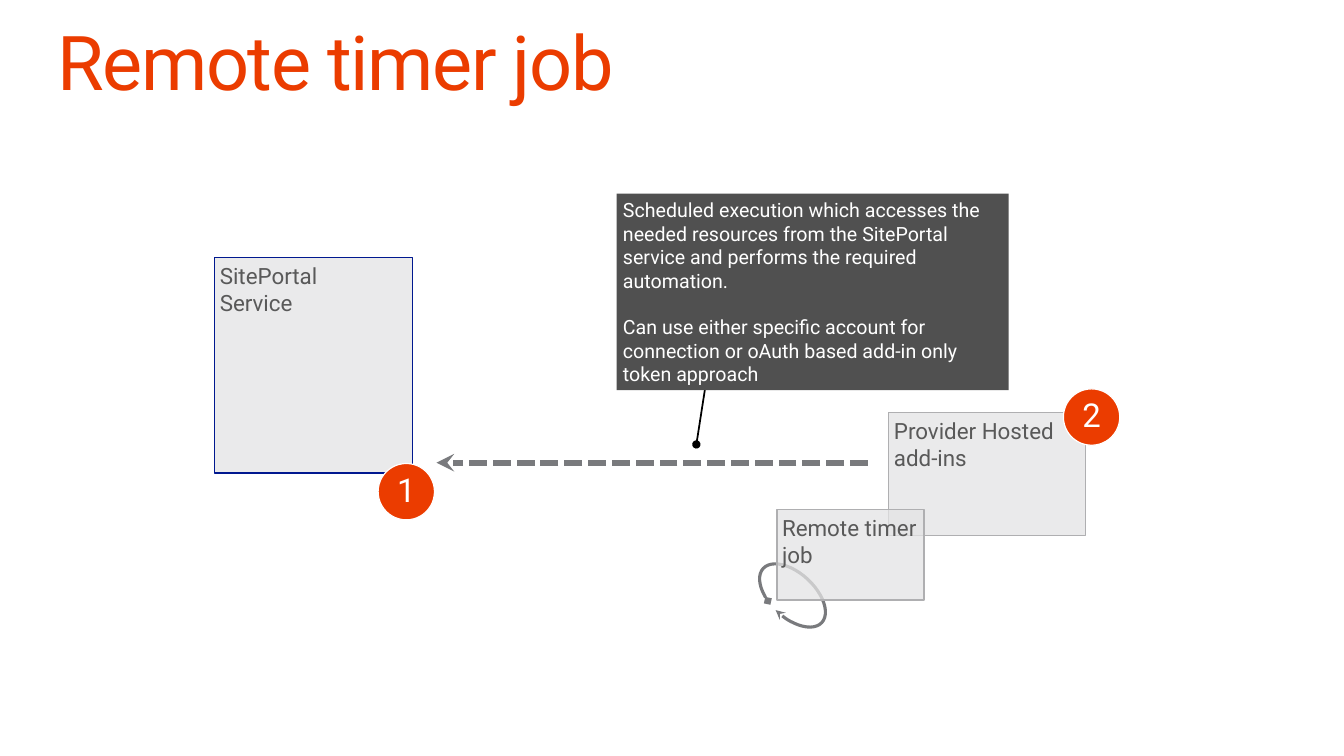
from pptx import Presentation
from pptx.dml.color import RGBColor
from pptx.enum.dml import MSO_LINE
from pptx.enum.shapes import MSO_CONNECTOR, MSO_SHAPE
from pptx.enum.text import MSO_ANCHOR, PP_ALIGN
from pptx.oxml.ns import qn
from pptx.util import Cm, Pt
from lxml.etree import SubElement

FONT = "Roboto"
ORANGE, WHITE, BLACK = "EB3C00", "FFFFFF", "000000"
PANEL, EDGE, NAVY = "E4E4E5", "AFAFB1", "00188F"
TEXT, DARK, GREY = "595959", "505050", "797A7D"


def color(value):
    return RGBColor.from_string(value)


def add_ends(shape, **ends):
    """Add line ends, given as headEnd and tailEnd types."""
    line = shape._element.spPr.find(qn("a:ln"))
    for tag, kind in ends.items():
        SubElement(line, qn(f"a:{tag}"), type=kind)


def set_line(shape, value, width):
    shape.line.color.rgb = color(value)
    shape.line.width = Pt(width)


def set_text(shape, text, size, value, insets=(0, 0, 0, 0),
             align=PP_ALIGN.LEFT, anchor=MSO_ANCHOR.TOP, spacing=1.0):
    frame = shape.text_frame
    frame.text = text
    frame.word_wrap = True
    frame.vertical_anchor = anchor
    (frame.margin_left, frame.margin_top,
     frame.margin_right, frame.margin_bottom) = map(Cm, insets)
    for para in frame.paragraphs:
        para.alignment = align
        para.line_spacing = spacing
        for run in para.runs:
            run.font.name = FONT
            run.font.size = Pt(size)
            run.font.color.rgb = color(value)


def add_form(slide, kind, box, fill=None):
    shape = slide.shapes.add_shape(kind, *map(Cm, box))
    shape.shadow.inherit = False
    if fill:
        shape.fill.solid()
        shape.fill.fore_color.rgb = color(fill)
    else:
        shape.fill.background()
    return shape


def add_panel(slide, box, text, edge=EDGE):
    """Draw a see-through system box with its label at the top."""
    panel = add_form(slide, MSO_SHAPE.RECTANGLE, box, PANEL)
    tint = panel._element.spPr.find(qn("a:solidFill"))[0]
    SubElement(tint, qn("a:alpha"), val="75000")
    set_line(panel, edge, 0.85)
    set_text(panel, text, 16, TEXT, (0.13,) * 4)


def add_badge(slide, left, top, number):
    badge = add_form(slide, MSO_SHAPE.OVAL, (left, top, 1.42, 1.42), ORANGE)
    set_line(badge, WHITE, 0.85)
    set_text(badge, number, 23.5, WHITE, align=PP_ALIGN.CENTER,
             anchor=MSO_ANCHOR.MIDDLE, spacing=0.9)


def add_link(slide, points, value, width, tail, dash=None):
    link = slide.shapes.add_connector(MSO_CONNECTOR.STRAIGHT, *map(Cm, points))
    set_line(link, value, width)
    if dash:
        link.line.dash_style = dash
    add_ends(link, tailEnd=tail)
    SubElement(link._element.spPr, qn("a:effectLst"))


def add_note(slide, box, lines):
    """Draw the dark note and the pointer from it to the arrow."""
    left, top, width, height = box
    base = top + height
    add_link(slide, (left + 2.23, base - 0.05, left + 2.01, base + 1.37),
             BLACK, 1.25, "oval")
    note = add_form(slide, MSO_SHAPE.RECTANGLE, box, DARK)
    note.line.fill.background()
    set_text(note, "\n".join(lines), 14, WHITE, (0.16, 0.08, 0.25, 0.08),
             anchor=MSO_ANCHOR.MIDDLE)
    for para in note.text_frame.paragraphs[1:]:
        para.space_before = Pt(16.5)


def add_job(slide, box):
    """Draw the timer job with its loop arrow behind the lower left corner."""
    left, top, width, height = box
    loop = add_form(slide, MSO_SHAPE.ARC,
                    (left - 0.17, top + 1.17, 1.12, 2.01))
    loop.adjustments[0], loop.adjustments[1] = 20.978, 3.663
    loop.rotation = 132.8
    set_line(loop, GREY, 2.25)
    add_ends(loop, headEnd="diamond", tailEnd="stealth")
    add_panel(slide, box, "Remote timer job")


def add_title(slide, box, text):
    title = slide.shapes.title
    title.left, title.top, title.width, title.height = map(Cm, box)
    set_text(title, text, 54, ORANGE, spacing=0.9)
    for run in title.text_frame.paragraphs[0].runs:
        run.font._element.set("spc", "-100")


def main():
    deck = Presentation()
    deck.slide_width, deck.slide_height = Cm(33.87), Cm(19.05)
    slide = deck.slides.add_slide(deck.slide_layouts[5])
    add_title(slide, (1.45, 0.64, 30.96, 2.08), "Remote timer job")
    add_panel(slide, (22.4, 10.39, 4.95, 3.1), "Provider Hosted add-ins")
    add_panel(slide, (5.41, 6.48, 4.98, 5.44), "SitePortal\vService", NAVY)
    add_link(slide, (21.87, 11.66, 11, 11.66), GREY, 4.25, "stealth",
             MSO_LINE.SQUARE_DOT)
    add_badge(slide, 26.8, 9.8, "2")
    add_note(slide, (15.54, 4.88, 9.88, 4.95), (
        "Scheduled execution which accesses the needed resources from the "
        "SitePortal service and performs the required automation.",
        "Can use either specific account for connection or oAuth based "
        "add-in only token approach"))
    add_badge(slide, 9.53, 11.68, "1")
    add_job(slide, (19.58, 12.83, 3.71, 2.29))
    deck.save("out.pptx")


if __name__ == "__main__":
    main()
